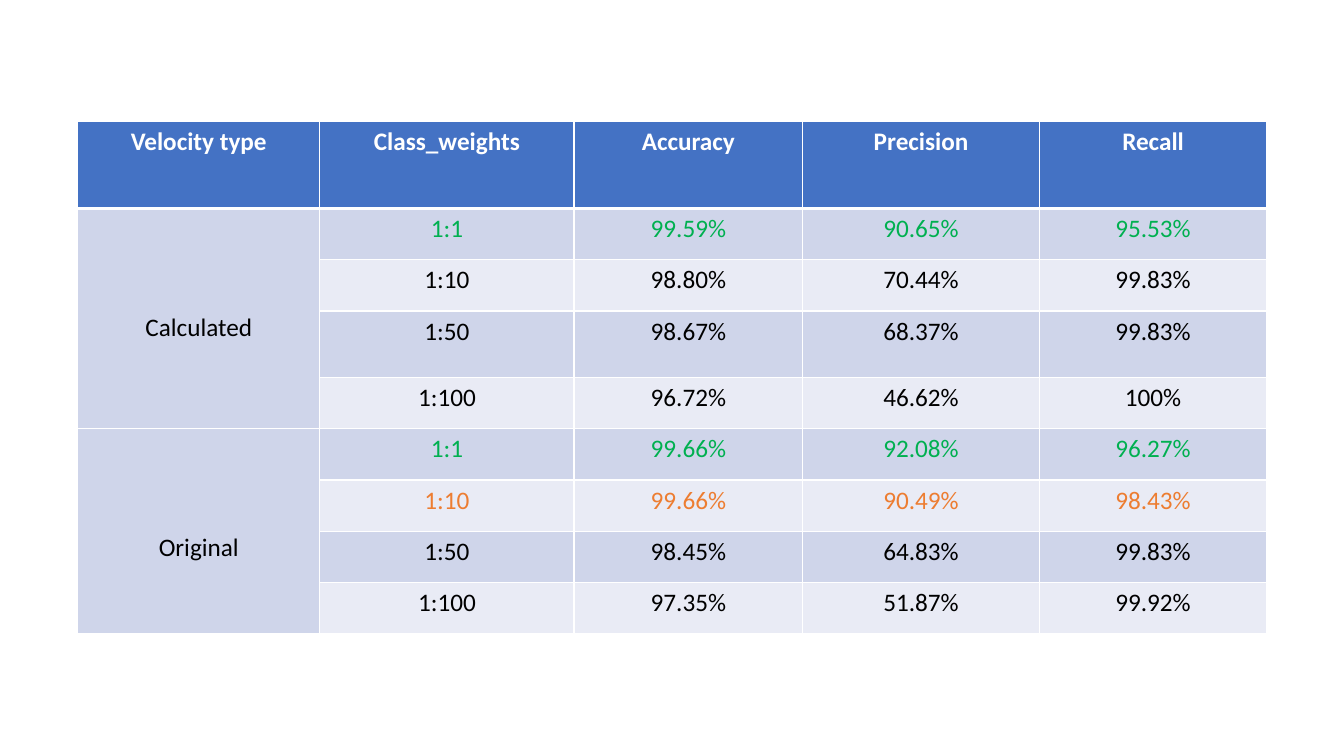
from lxml import etree
from pptx import Presentation
from pptx.dml.color import RGBColor
from pptx.enum.text import PP_ALIGN
from pptx.oxml.ns import qn
from pptx.util import Pt

CENTER = PP_ALIGN.CENTER
FONT = "Calibri"
FONT_SIZE = 18
COLORS = {
    "header": "4472C4",
    "band_dark": "CFD5EA",
    "band_light": "E9EBF5",
    "white": "FFFFFF",
    "black": "000000",
    "best": "00B050",
    "second": "ED7D31",
}
TABLE_LEFT, TABLE_TOP = 55.5, 87
COLUMN_WIDTHS = [173, 181.5, 163.5, 169, 162.5]
HEADER_HEIGHT, ROW_HEIGHT, TALL_ROW_HEIGHT = 62, 36.6, 47.5
TALL_ROW = 3
GROUP_LINE_SPACING = 4.2
THIN, THICK = 1, 3

HEADERS = ["Velocity type", "Class_weights", "Accuracy", "Precision", "Recall"]
RESULTS = {
    "Calculated": [
        ("1:1", "99.59%", "90.65%", "95.53%"),
        ("1:10", "98.80%", "70.44%", "99.83%"),
        ("1:50", "98.67%", "68.37%", "99.83%"),
        ("1:100", "96.72%", "46.62%", "100%"),
    ],
    "Original": [
        ("1:1", "99.66%", "92.08%", "96.27%"),
        ("1:10", "99.66%", "90.49%", "98.43%"),
        ("1:50", "98.45%", "64.83%", "99.83%"),
        ("1:100", "97.35%", "51.87%", "99.92%"),
    ],
}
HIGHLIGHTS = {
    ("Calculated", "1:1"): "best",
    ("Original", "1:1"): "best",
    ("Original", "1:10"): "second",
}


def rgb(name):
    """Return the named colour."""
    return RGBColor.from_string(COLORS[name])


def set_borders(cell, top=THIN, bottom=THIN):
    """Draw white borders, which must precede the fill in the cell properties."""
    properties = cell._tc.get_or_add_tcPr()
    widths = {"a:lnL": THIN, "a:lnR": THIN, "a:lnT": top, "a:lnB": bottom}
    for position, (tag, width) in enumerate(widths.items()):
        line = etree.Element(qn(tag), w=str(Pt(width)))
        fill = etree.SubElement(line, qn("a:solidFill"))
        etree.SubElement(fill, qn("a:srgbClr"), val=COLORS["white"])
        properties.insert(position, line)


def fill_cell(cell, color):
    """Give a cell a solid fill."""
    cell.fill.solid()
    cell.fill.fore_color.rgb = rgb(color)


def write_cell(cell, text, color="black", bold=False, line_spacing=None):
    """Write one centred line of text in a cell."""
    paragraph = cell.text_frame.paragraphs[0]
    paragraph.text = text
    paragraph.alignment = CENTER
    paragraph.line_spacing = line_spacing
    font = paragraph.runs[0].font
    font.name, font.size, font.bold = FONT, Pt(FONT_SIZE), bold
    font.color.rgb = rgb(color)


def add_results_table(slide):
    """Add the empty table with its row and column sizes, and return it."""
    row_count = 1 + sum(len(rows) for rows in RESULTS.values())
    heights = [HEADER_HEIGHT] + [ROW_HEIGHT] * (row_count - 1)
    heights[TALL_ROW] = TALL_ROW_HEIGHT
    table = slide.shapes.add_table(
        row_count, len(HEADERS), Pt(TABLE_LEFT), Pt(TABLE_TOP),
        Pt(sum(COLUMN_WIDTHS)), Pt(sum(heights))).table
    table.horz_banding = False
    for column, width in zip(table.columns, COLUMN_WIDTHS):
        column.width = Pt(width)
    for row, height in zip(table.rows, heights):
        row.height = Pt(height)
    return table


def style_cells(table):
    """Fill the header and the bands, and draw all borders."""
    for row_index, row in enumerate(table.rows):
        band = "band_dark" if row_index % 2 else "band_light"
        for column_index, cell in enumerate(row.cells):
            if row_index == 0:
                fill_cell(cell, "header")
                set_borders(cell, bottom=THICK)
            else:
                fill_cell(cell, "band_dark" if column_index == 0 else band)
                set_borders(cell, top=THICK if row_index == 1 else THIN)


def write_group(table, first_row, velocity_type, rows):
    """Write the results of one velocity type beside its merged label."""
    label = table.cell(first_row, 0)
    label.merge(table.cell(first_row + len(rows) - 1, 0))
    write_cell(label, velocity_type, line_spacing=GROUP_LINE_SPACING)
    for row_index, values in enumerate(rows, first_row):
        color = HIGHLIGHTS.get((velocity_type, values[0]), "black")
        for column_index, value in enumerate(values, 1):
            write_cell(table.cell(row_index, column_index), value, color)


def main():
    """Build the slide with the classification results."""
    presentation = Presentation()
    presentation.slide_width, presentation.slide_height = Pt(960), Pt(540)
    slide = presentation.slides.add_slide(presentation.slide_layouts[6])
    table = add_results_table(slide)
    style_cells(table)
    for column_index, header in enumerate(HEADERS):
        write_cell(table.cell(0, column_index), header, "white", bold=True)
    first_row = 1
    for velocity_type, rows in RESULTS.items():
        write_group(table, first_row, velocity_type, rows)
        first_row += len(rows)
    presentation.save("out.pptx")


main()
